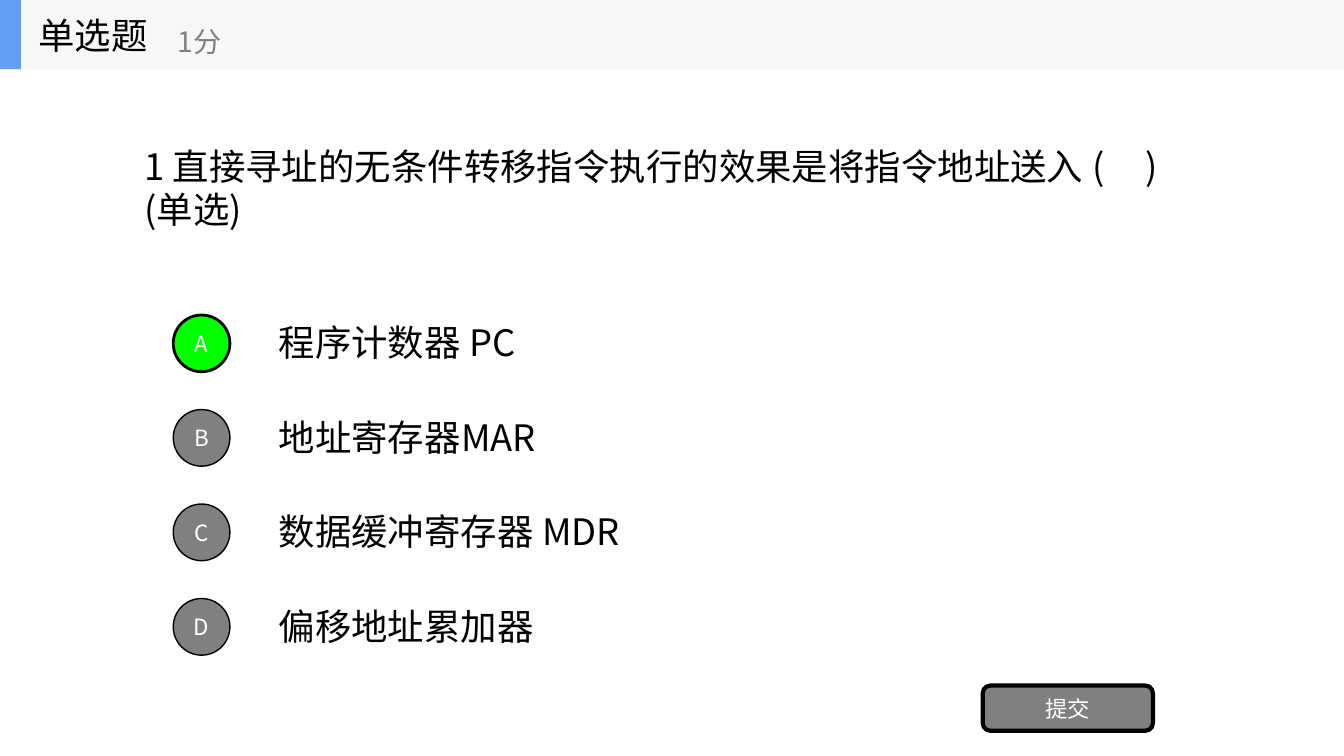
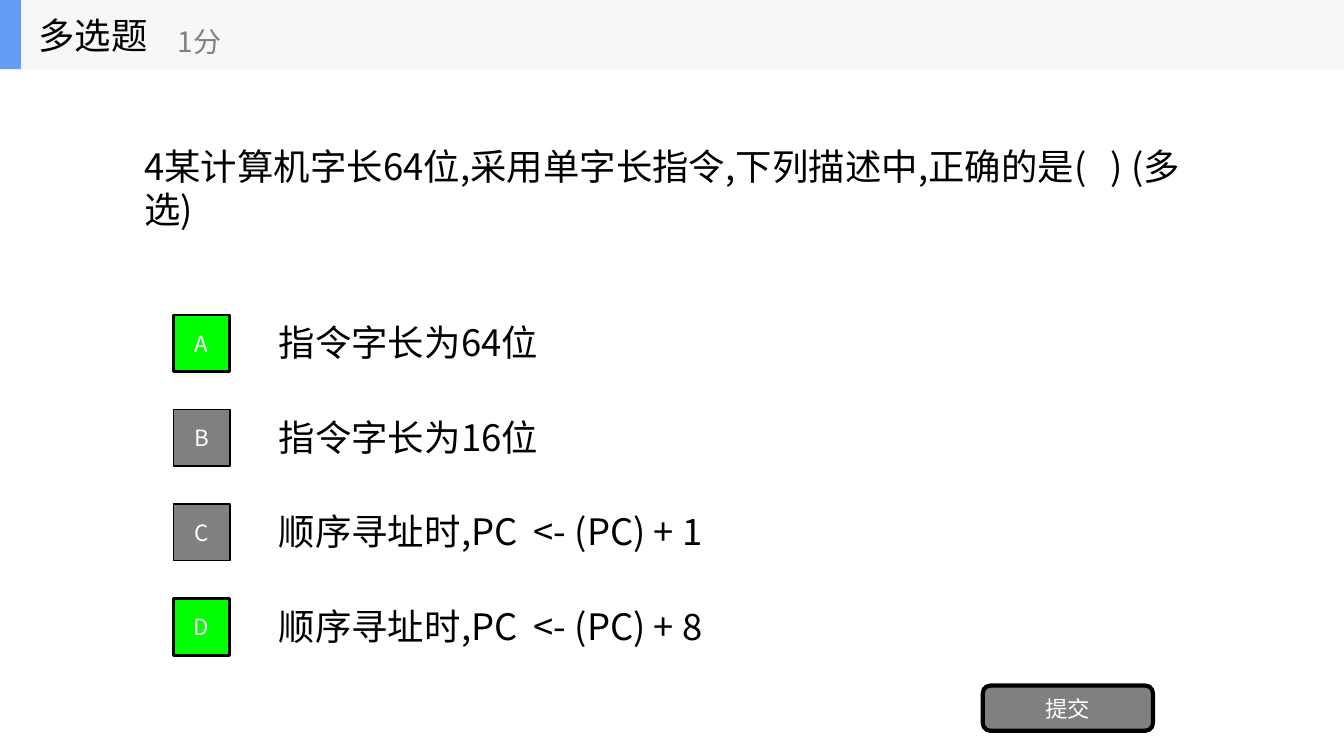
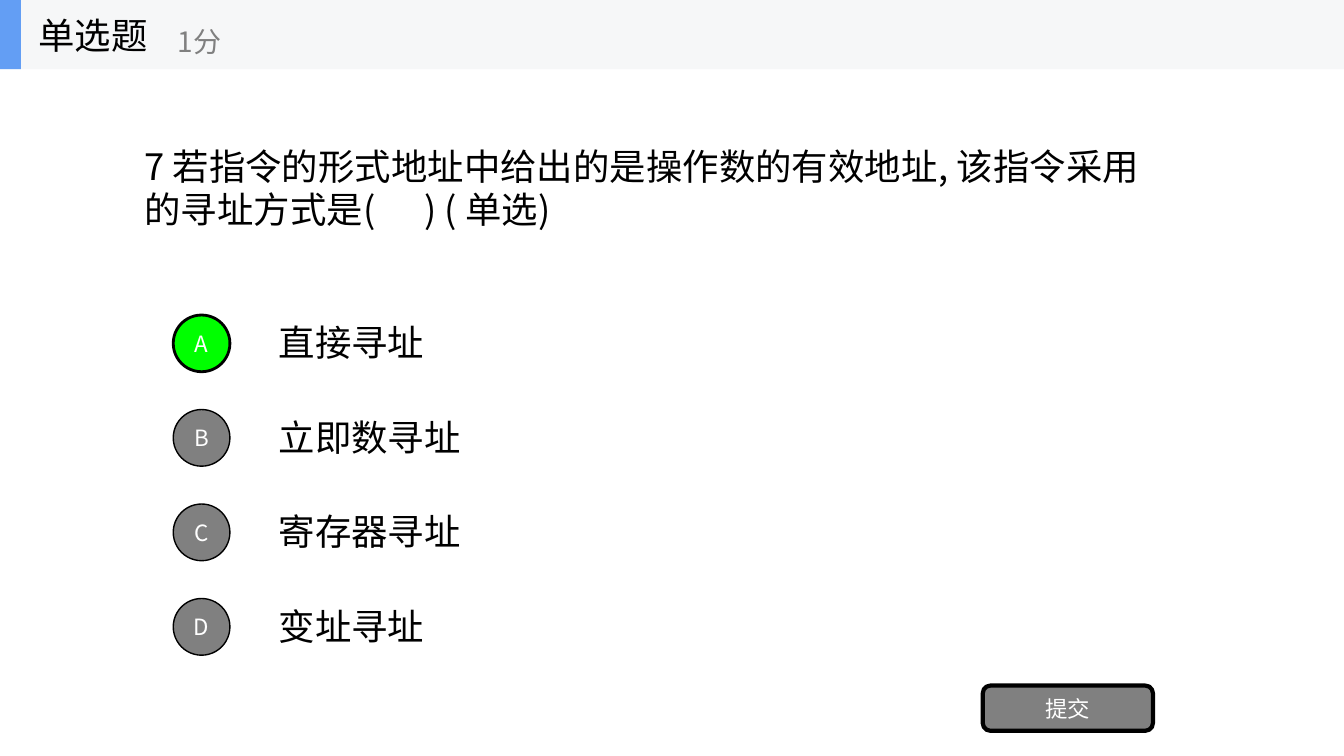
from dataclasses import dataclass

import lxml.etree
import pptx
import pptx.dml.color
import pptx.enum.shapes
import pptx.enum.text
import pptx.oxml.ns
import pptx.util

SHAPE = pptx.enum.shapes.MSO_SHAPE
ALIGN = pptx.enum.text.PP_ALIGN


@dataclass(frozen=True)
class Theme:
    font: str = "Noto Sans CJK SC"
    ink: str = "000000"
    paper: str = "FFFFFF"
    muted: str = "808080"
    correct: str = "00FF00"
    band: str = "F6F7F8"
    accent: str = "639EF4"
    body_size: int = 26
    score_size: int = 20
    button_size: int = 16


class QuizDeck:
    COLUMNS, ROWS = 64, 36
    HEADER_ROWS = 3.3
    FIRST_OPTION, OPTION_PITCH = 15, 4.5

    def __init__(self, theme):
        self.theme = theme
        self.presentation = pptx.Presentation()
        self.presentation.slide_width = pptx.util.Inches(13.33)
        self.presentation.slide_height = pptx.util.Inches(7.5)
        self.slide = None

    def new_slide(self):
        self.slide = self.presentation.slides.add_slide(self.presentation.slide_layouts[6])

    def place(self, column, row, columns, rows):
        cell_width = self.presentation.slide_width / self.COLUMNS
        cell_height = self.presentation.slide_height / self.ROWS
        return (round(column * cell_width), round(row * cell_height),
                round(columns * cell_width), round(rows * cell_height))

    def set_words(self, shape, words, size, color, align=ALIGN.LEFT):
        frame = shape.text_frame
        frame.text = words
        frame.vertical_anchor = pptx.enum.text.MSO_ANCHOR.MIDDLE
        paragraph = frame.paragraphs[0]
        paragraph.alignment = align
        for run in paragraph.runs:
            run.font.size = pptx.util.Pt(size)
            run.font.name = self.theme.font
            run.font.color.rgb = pptx.dml.color.RGBColor.from_string(color)
            east_asian = lxml.etree.SubElement(run.font._element, pptx.oxml.ns.qn("a:ea"))
            east_asian.set("typeface", self.theme.font)

    def text(self, words, cells, size, color, group=None):
        box = (group or self.slide).shapes.add_textbox(*self.place(*cells))
        self.set_words(box, words, size, color)
        box.text_frame.word_wrap = group is None
        if group is None:
            box.text_frame.auto_size = pptx.enum.text.MSO_AUTO_SIZE.SHAPE_TO_FIT_TEXT

    def block(self, preset, cells, fill, border=0, group=None):
        shape = (group or self.slide).shapes.add_shape(preset, *self.place(*cells))
        shape.shadow.inherit = False
        shape.fill.solid()
        shape.fill.fore_color.rgb = pptx.dml.color.RGBColor.from_string(fill)
        if border:
            shape.line.color.rgb = pptx.dml.color.RGBColor.from_string(self.theme.ink)
            shape.line.width = pptx.util.Pt(border)
        else:
            shape.line.fill.background()
        return shape

    def button(self, words, preset, cells, fill, border):
        shape = self.block(preset, cells, fill, border)
        self.set_words(shape, words, self.theme.button_size, self.theme.paper, ALIGN.CENTER)

    def header(self, category, score):
        theme, height = self.theme, self.HEADER_ROWS
        group = self.slide.shapes.add_group_shape()
        self.block(SHAPE.RECTANGLE, (0, 0, self.COLUMNS, height), theme.band, group=group)
        self.block(SHAPE.RECTANGLE, (0, 0, 1, height), theme.accent, group=group)
        self.text(category, (1.35, 0, 10, height), theme.body_size, theme.ink, group)
        self.text(score, (8, 0.6, 12, 2.7), theme.score_size, theme.muted, group)

    def option(self, index, letter, words, columns, preset, is_correct):
        theme = self.theme
        row = self.FIRST_OPTION + index * self.OPTION_PITCH
        self.text(words, (12.8, row, columns, 2.6), theme.body_size, theme.ink)
        fill, border = (theme.correct, 2) if is_correct else (theme.muted, 1)
        self.button(letter, preset, (8.25, row, 2.7, 2.7), fill, border)

    def question(self, category, prompt, prompt_columns, options, answers):
        theme = self.theme
        self.new_slide()
        self.text(prompt, (6.4, 6.6, prompt_columns, 4.65), theme.body_size, theme.ink)
        preset = SHAPE.RECTANGLE if category == "多选题" else SHAPE.OVAL
        for index, (letter, (words, columns)) in enumerate(zip("ABCD", options)):
            self.option(index, letter, words, columns, preset, letter in answers)
        self.button("提交", SHAPE.ROUNDED_RECTANGLE, (46.8, 32.65, 8.1, 2.15), theme.muted, 3)
        self.header(category, "1分")


QUESTIONS = [
    ("单选题", "1 直接寻址的无条件转移指令执行的效果是将指令地址送入 (     ) (单选)", 50.6,
     [("程序计数器 PC", 12.9), ("地址寄存器MAR", 14.2),
      ("数据缓冲寄存器 MDR", 18.3), ("偏移地址累加器", 13.65)], "A"),
    ("多选题", "4某计算机字长64位,采用单字长指令,下列描述中,正确的是(   ) (多选)", 50.65,
     [("指令字长为64位", 13.9), ("指令字长为16位", 13.9),
      ("顺序寻址时,PC  <- (PC) + 1", 23.05), ("顺序寻址时,PC  <- (PC) + 8", 23.05)], "AD"),
    ("单选题", "7 若指令的形式地址中给出的是操作数的有效地址, 该指令采用的寻址方式是(      ) ( 单选)", 49.75,
     [("直接寻址", 8.4), ("立即数寻址", 10.15),
      ("寄存器寻址", 10.15), ("变址寻址", 8.4)], "A"),
]


def main():
    deck = QuizDeck(Theme())
    for question in QUESTIONS:
        deck.question(*question)
    deck.presentation.save("out.pptx")


if __name__ == "__main__":
    main()
